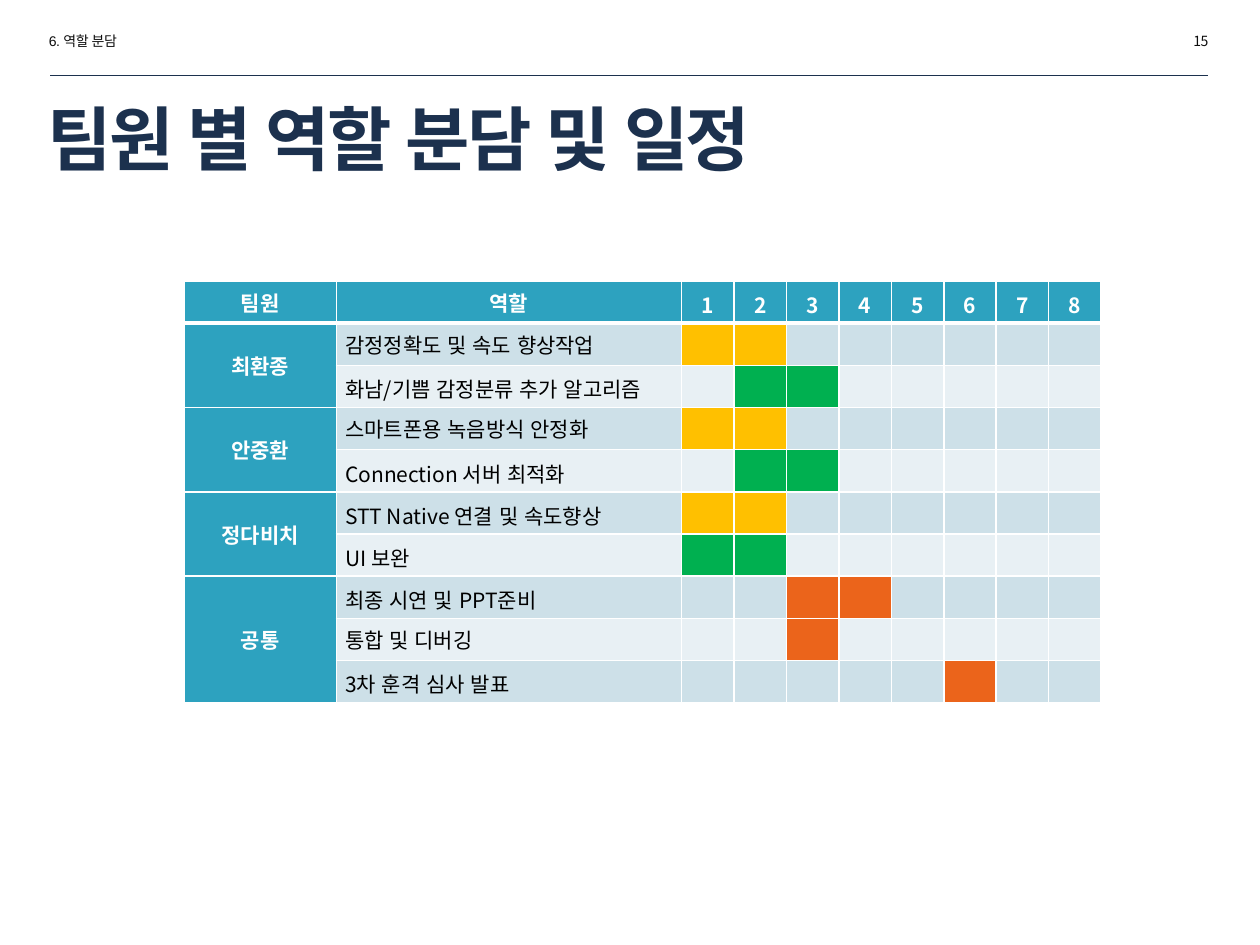
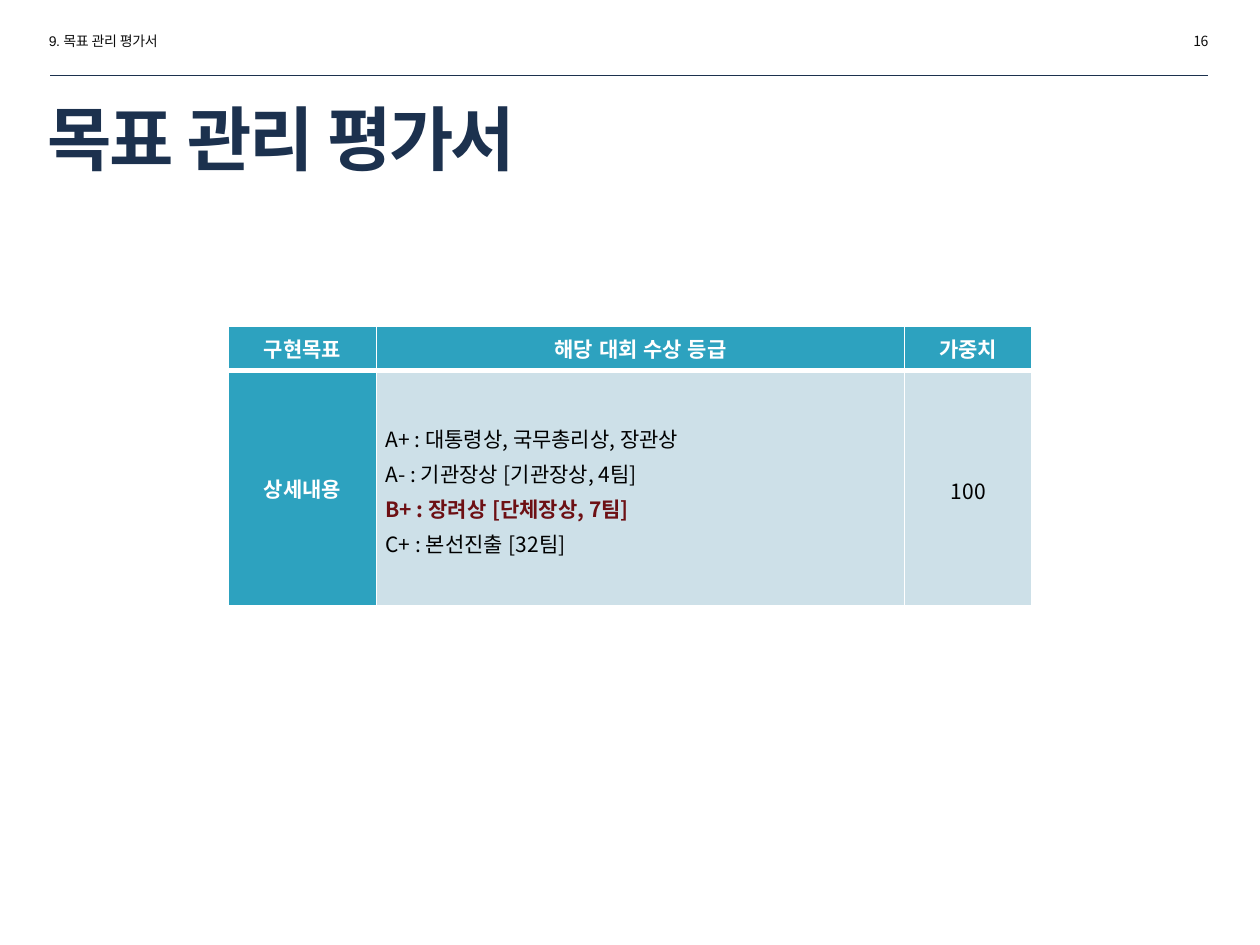
from lxml import etree
from pptx import Presentation
from pptx.dml.color import RGBColor
from pptx.enum.shapes import MSO_CONNECTOR
from pptx.enum.text import MSO_ANCHOR, PP_ALIGN
from pptx.oxml.ns import qn
from pptx.util import Inches, Pt

LEFT, CENTER, RIGHT, JUSTIFY = PP_ALIGN.LEFT, PP_ALIGN.CENTER, PP_ALIGN.RIGHT, PP_ALIGN.JUSTIFY
TOP, MIDDLE = MSO_ANCHOR.TOP, MSO_ANCHOR.MIDDLE
STRAIGHT = MSO_CONNECTOR.STRAIGHT

NAVY = RGBColor(0x1C, 0x31, 0x4E)
INK = RGBColor(0x0D, 0x0D, 0x0D)
BLACK = RGBColor(0x00, 0x00, 0x00)
WHITE = RGBColor(0xFF, 0xFF, 0xFF)
TEAL = RGBColor(0x2D, 0xA2, 0xBF)
DARK_BAND = RGBColor(0xCD, 0xE0, 0xE8)
LIGHT_BAND = RGBColor(0xE8, 0xF0, 0xF4)
YELLOW = RGBColor(0xFF, 0xC0, 0x00)
GREEN = RGBColor(0x00, 0xB0, 0x50)
ORANGE = RGBColor(0xEB, 0x64, 0x1B)
MAROON = RGBColor(0x6D, 0x10, 0x14)

HEADING_FONT = "Arial"
BODY_FONT = "Noto Sans CJK KR"
EAST_ASIAN_FONT = "Arial"
CELL_SIZE = 12
WEEKS = 8

TEAM = [
    ("최환종", [("감정정확도 및 속도 향상작업", YELLOW, (1, 2)),
             ("화남/기쁨 감정분류 추가 알고리즘", GREEN, (2, 3))]),
    ("안중환", [("스마트폰용 녹음방식 안정화", YELLOW, (1, 2)),
             ("Connection 서버 최적화", GREEN, (2, 3))]),
    ("정다비치", [("STT Native 연결 및 속도향상", YELLOW, (1, 2)),
              ("UI 보완", GREEN, (1, 2))]),
    ("공통", [("최종 시연 및 PPT준비", ORANGE, (3, 4)),
            ("통합 및 디버깅", ORANGE, (3,)),
            ("3차 훈격 심사 발표", ORANGE, (6,))]),
]
GRADES = [
    ("A+ : 대통령상, 국무총리상, 장관상", BLACK),
    ("A- : 기관장상 [기관장상, 4팀]", BLACK),
    ("B+ : 장려상 [단체장상, 7팀]", MAROON),
    ("C+ : 본선진출 [32팀]", BLACK),
]


def write_paragraph(paragraph, text, *, size=CELL_SIZE, font=BODY_FONT, color=BLACK,
                    bold=False, align=LEFT, spacing=0, line_spacing=None):
    paragraph.alignment = align
    if line_spacing:
        paragraph.line_spacing = line_spacing
    run = paragraph.add_run()
    run.text = text
    run.font.size = Pt(size)
    run.font.name = font
    run.font.bold = bold
    run.font.color.rgb = color
    properties = run.font._element
    if spacing:
        properties.set("spc", str(round(spacing * 100)))
    etree.SubElement(properties, qn("a:ea"), typeface=EAST_ASIAN_FONT)


def add_text(slide, box, text, *, anchor=TOP, **text_format):
    frame = slide.shapes.add_textbox(*map(Inches, box)).text_frame
    frame.word_wrap = True
    frame.vertical_anchor = anchor
    write_paragraph(frame.paragraphs[0], text, **text_format)


def add_frame(presentation, section, title, number):
    slide = presentation.slides.add_slide(presentation.slide_layouts[6])
    small = {"size": 8, "color": INK, "spacing": -0.3}
    add_text(slide, (0.29, 0.21, 1.73, 0.24), section, font=HEADING_FONT, **small)
    rule = slide.shapes.add_connector(STRAIGHT, Inches(0.4), Inches(0.6), Inches(9.59), Inches(0.6))
    rule.line.color.rgb = NAVY
    rule.line.width = Pt(0.25)
    etree.SubElement(rule._element.spPr, qn("a:effectLst"))
    add_text(slide, (0.28, 0.77, 7.65, 0.64), title, anchor=MIDDLE, size=40,
             font=HEADING_FONT, color=NAVY, bold=True, spacing=-1.5)
    add_text(slide, (7.96, 0.21, 1.73, 0.24), str(number), align=RIGHT, **small)
    return slide


def set_borders(cell, bottom):
    properties = cell._tc.get_or_add_tcPr()
    widths = {"lnL": 1, "lnR": 1, "lnT": 1, "lnB": bottom}
    for index, (side, width) in enumerate(widths.items()):
        line = etree.Element(qn(f"a:{side}"), w=str(Pt(width)))
        fill = etree.SubElement(line, qn("a:solidFill"))
        etree.SubElement(fill, qn("a:srgbClr"), val=str(WHITE))
        properties.insert(index, line)


def fill_cell(cell, fill, lines=(), *, align=CENTER, bottom=1):
    cell.fill.solid()
    cell.fill.fore_color.rgb = fill
    set_borders(cell, bottom)
    cell.vertical_anchor = MIDDLE
    cell.margin_left = cell.margin_right = Inches(0.07)
    cell.margin_top = cell.margin_bottom = 0
    frame = cell.text_frame
    for index, (text, color, bold) in enumerate(lines):
        paragraph = frame.add_paragraph() if index else frame.paragraphs[0]
        write_paragraph(paragraph, text, color=color, bold=bold, align=align, line_spacing=1.15)
    if not lines:
        etree.SubElement(frame.paragraphs[0]._p, qn("a:endParaRPr"), sz=str(CELL_SIZE * 100))


def fill_heading(cell, text, bottom=1):
    fill_cell(cell, TEAL, [(text, WHITE, True)], bottom=bottom)


def add_grid(slide, box, widths, heights, headings):
    table = slide.shapes.add_table(len(heights), len(widths), *map(Inches, box)).table
    for column, width in zip(table.columns, widths):
        column.width = Inches(width)
    for row, height in zip(table.rows, heights):
        row.height = Inches(height)
    for index, heading in enumerate(headings):
        fill_heading(table.cell(0, index), heading, bottom=3)
    return table


def add_schedule(slide, box):
    _, _, width, height = box
    row_count = 1 + sum(len(tasks) for _, tasks in TEAM)
    weeks = range(1, WEEKS + 1)
    text_widths = [1.21, 2.74]
    week_width = (width - sum(text_widths)) / WEEKS
    table = add_grid(slide, box, text_widths + [week_width] * WEEKS,
                     [height / row_count] * row_count, ["팀원", "역할", *map(str, weeks)])
    row = 1
    for member, tasks in TEAM:
        table.cell(row, 0).merge(table.cell(row + len(tasks) - 1, 0))
        fill_heading(table.cell(row, 0), member)
        for task, color, active_weeks in tasks:
            band = DARK_BAND if row % 2 else LIGHT_BAND
            fill_cell(table.cell(row, 1), band, [(task, BLACK, False)], align=JUSTIFY)
            for week in weeks:
                fill_cell(table.cell(row, week + 1), color if week in active_weeks else band)
            row += 1


def add_evaluation(slide, box):
    _, _, width, height = box
    goal_width, weight_width, heading_height = 1.18, 1.01, 0.35
    table = add_grid(slide, box, [goal_width, width - goal_width - weight_width, weight_width],
                     [heading_height, height - heading_height],
                     ["구현목표", "해당 대회 수상 등급", "가중치"])
    fill_heading(table.cell(1, 0), "상세내용")
    grades = [(text, color, color == MAROON) for text, color in GRADES]
    fill_cell(table.cell(1, 1), DARK_BAND, grades, align=JUSTIFY)
    fill_cell(table.cell(1, 2), DARK_BAND, [("100", BLACK, False)])


presentation = Presentation()
presentation.slide_width = Inches(10)
presentation.slide_height = Inches(7.5)
schedule_slide = add_frame(presentation, "6. 역할 분담", "팀원 별 역할 분담 및 일정", 15)
add_schedule(schedule_slide, (1.46, 2.23, 7.28, 3.35))
evaluation_slide = add_frame(presentation, "9. 목표 관리 평가서", "목표 관리 평가서", 16)
add_evaluation(evaluation_slide, (1.81, 2.59, 6.38, 2.22))
presentation.save("out.pptx")
